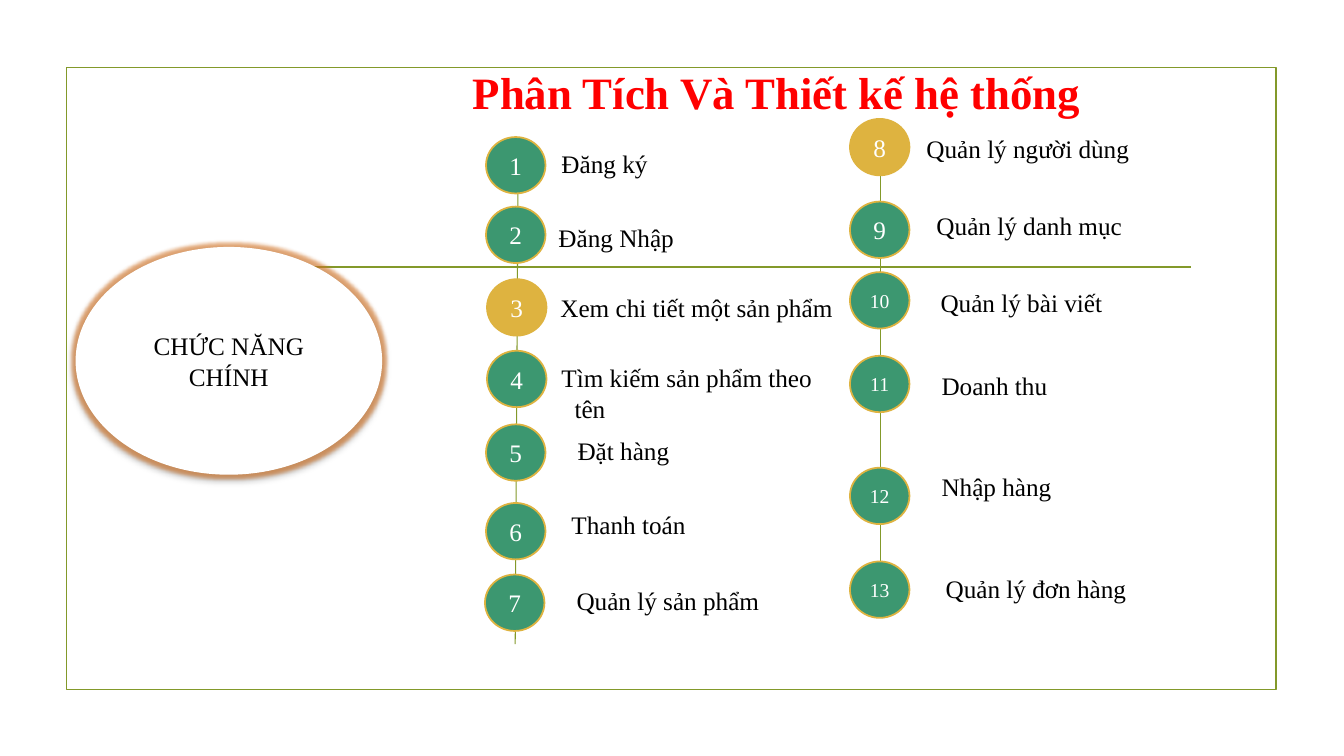
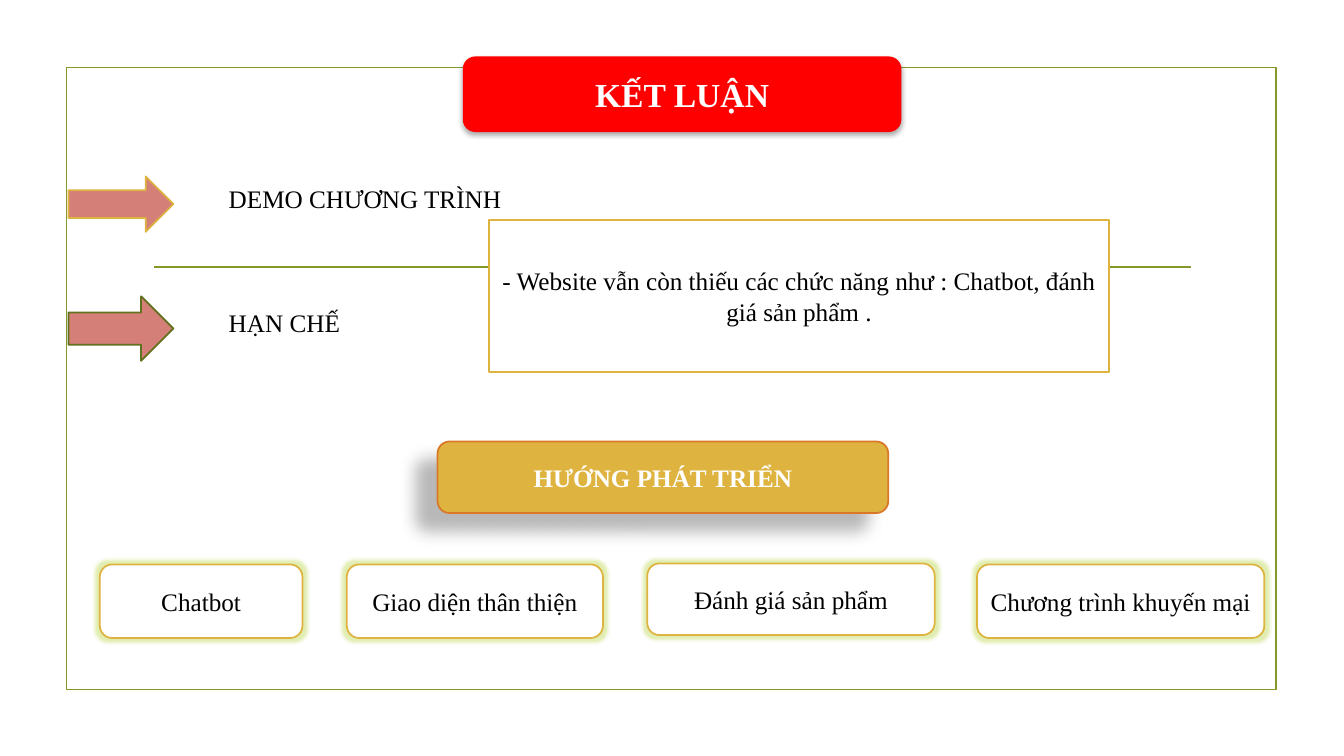
from lxml import etree
from pptx import Presentation
from pptx.dml.color import RGBColor
from pptx.enum.shapes import MSO_CONNECTOR, MSO_SHAPE
from pptx.enum.text import MSO_ANCHOR, MSO_AUTO_SIZE, PP_ALIGN
from pptx.oxml.ns import qn
from pptx.util import Inches, Pt

RECTANGLE = MSO_SHAPE.RECTANGLE
ROUNDED = MSO_SHAPE.ROUNDED_RECTANGLE
OVAL = MSO_SHAPE.OVAL
ARROW = MSO_SHAPE.RIGHT_ARROW
STRAIGHT = MSO_CONNECTOR.STRAIGHT
MIDDLE = MSO_ANCHOR.MIDDLE
CENTER = PP_ALIGN.CENTER
GROW = MSO_AUTO_SIZE.SHAPE_TO_FIT_TEXT

FONT = "Times New Roman"
WHITE = RGBColor(0xFF, 0xFF, 0xFF)
BLACK = RGBColor(0x00, 0x00, 0x00)
RED = RGBColor(0xFF, 0x00, 0x00)
OLIVE = RGBColor(0x83, 0x99, 0x2A)
DARK_OLIVE = RGBColor(0x61, 0x71, 0x1F)
LIME = RGBColor(0xB5, 0xD4, 0x3A)
GREEN = RGBColor(0x3C, 0x97, 0x70)
GOLD = RGBColor(0xDE, 0xB3, 0x40)
ORANGE = RGBColor(0xD9, 0x78, 0x28)
ROSE = RGBColor(0xD4, 0x7F, 0x77)

SOFT_SHADOW = (32, 3.5, 2.2, 90)
DEEP_SHADOW = (28, 11.8, 19.7, 141)

BADGE_WIDTH, BADGE_HEIGHT = 0.59, 0.56
HIGHLIGHTED = (3, 8)
COLUMN_LINES = [(5.14, 1.46, 5.11, 6.39), (8.73, 1.25, 8.73, 5.76)]
FEATURES = [
    (4.82, 1.36, ["Đăng ký"], 5.47, 1.42, 1.12),
    (4.82, 2.05, ["Đăng Nhập"], 5.44, 2.16, 1.39),
    (4.83, 2.77, ["Xem chi tiết một sản phẩm"], 5.46, 2.85, 2.93),
    (4.83, 3.48, ["Tìm kiếm sản phẩm theo", "tên"], 5.47, 3.55, 2.71),
    (4.82, 4.21, ["Đặt hàng"], 5.63, 4.27, 1.18),
    (4.82, 4.99, ["Thanh toán"], 5.57, 5, 1.34),
    (4.81, 5.7, ["Quản lý sản phẩm"], 5.62, 5.76, 2.03),
    (8.43, 1.18, ["Quản lý người dùng"], 9.09, 1.27, 2.23),
    (8.43, 2, ["Quản lý danh mục"], 9.19, 2.04, 2.06),
    (8.43, 2.7, ["Quản lý bài viết"], 9.23, 2.8, 1.82),
    (8.43, 3.53, ["Doanh thu"], 9.24, 3.62, 1.26),
    (8.43, 4.64, ["Nhập hàng"], 9.24, 4.63, 1.3),
    (8.43, 5.57, ["Quản lý đơn hàng"], 9.28, 5.64, 2.01),
]

SECTIONS = [
    ("DEMO CHƯƠNG TRÌNH", (2.17, 1.77, 4.35, 0.4), (0.68, 1.75, 1.04, 0.55), GOLD),
    ("HẠN CHẾ", (2.17, 3, 2.68, 0.4), (0.68, 2.94, 1.04, 0.64), DARK_OLIVE),
]
LIMITATION = "- Website vẫn còn thiếu các chức năng như : Chatbot, đánh giá sản phẩm ."
DIRECTIONS = [
    ("Chatbot", (0.99, 5.6, 2.01, 0.73)),
    ("Giao diện thân thiện", (3.44, 5.6, 2.54, 0.73)),
    ("Đánh giá sản phẩm", (6.42, 5.59, 2.85, 0.71)),
    ("Chương trình khuyến mại", (9.69, 5.6, 2.85, 0.73)),
]


def inches(values):
    return [Inches(value) for value in values]


def style_font(paragraph, size, color, bold):
    font = paragraph.font
    font.name, font.size, font.bold = FONT, Pt(size), bold
    font.color.rgb = color


def add_effect(shape, name, color, opacity, **attributes):
    effects = shape._element.spPr.find(qn("a:effectLst"))
    values = {key: str(int(value)) for key, value in attributes.items()}
    effect = etree.SubElement(effects, qn("a:" + name), values)
    tint = etree.SubElement(effect, qn("a:srgbClr"), val=str(color))
    etree.SubElement(tint, qn("a:alpha"), val=str(opacity * 1000))


def add_glow(shape, color, opacity=40):
    add_effect(shape, "glow", color, opacity, rad=Pt(5))


def add_shadow(shape, opacity, blur, distance, angle):
    add_effect(shape, "outerShdw", BLACK, opacity, blurRad=Pt(blur),
               dist=Pt(distance), dir=angle * 60000, rotWithShape=0)


def add_box(slide, kind, box, fill=None, line=None, text="", size=18,
            color=BLACK, bold=False):
    shape = slide.shapes.add_shape(kind, *inches(box))
    shape.shadow.inherit = False
    if fill is None:
        shape.fill.background()
    else:
        shape.fill.solid()
        shape.fill.fore_color.rgb = fill
    if line is None:
        shape.line.fill.background()
    else:
        shape.line.color.rgb = line
        shape.line.width = Pt(1.25)
    if text:
        frame = shape.text_frame
        frame.word_wrap = True
        frame.vertical_anchor = MIDDLE
        paragraph = frame.paragraphs[0]
        paragraph.text = text
        paragraph.alignment = CENTER
        style_font(paragraph, size, color, bold)
    return shape


def add_label(slide, box, lines, size=18, color=BLACK, bold=False, wrap=True):
    frame = slide.shapes.add_textbox(*inches(box)).text_frame
    frame.word_wrap = wrap
    frame.auto_size = GROW
    for index, line in enumerate(lines):
        paragraph = frame.add_paragraph() if index else frame.paragraphs[0]
        paragraph.text = line
        style_font(paragraph, size, color, bold)
        if index:
            paragraph._p.get_or_add_pPr().set("marL", str(Inches(0.13)))


def add_line(slide, ends, width):
    connector = slide.shapes.add_connector(STRAIGHT, *inches(ends))
    connector.line.color.rgb = OLIVE
    connector.line.width = Pt(width)
    etree.SubElement(connector._element.spPr, qn("a:effectLst"))


def add_framed_slide(presentation):
    slide = presentation.slides.add_slide(presentation.slide_layouts[6])
    add_box(slide, RECTANGLE, (0.66, 0.67, 12, 6.17), line=OLIVE)
    add_line(slide, (1.53, 2.65, 11.81, 2.65), 1.25)
    return slide


def build_features(presentation):
    slide = add_framed_slide(presentation)
    add_label(slide, (4.59, 0.59, 6.85, 0.64),
              ["Phân Tích Và Thiết kế hệ thống"], 32, RED, True)
    for ends in COLUMN_LINES:
        add_line(slide, ends, 0.75)
    for number, feature in enumerate(FEATURES, 1):
        badge_left, badge_top, lines, left, top, width = feature
        add_box(slide, OVAL, (badge_left, badge_top, BADGE_WIDTH, BADGE_HEIGHT),
                GOLD if number in HIGHLIGHTED else GREEN, GOLD,
                str(number), 18 if number < 10 else 14, WHITE)
        height = 0.1 + 0.3 * len(lines)
        add_label(slide, (left, top, width, height), lines, wrap=False)
    hub = add_box(slide, OVAL, (0.75, 2.45, 3.04, 2.26), WHITE,
                  text="CHỨC NĂNG CHÍNH")
    add_glow(hub, ORANGE, 60)
    add_shadow(hub, *SOFT_SHADOW)


def build_conclusion(presentation):
    slide = add_framed_slide(presentation)
    title = add_box(slide, ROUNDED, (4.59, 0.56, 4.35, 0.75), RED,
                    text="KẾT LUẬN", size=24, color=WHITE, bold=True)
    add_shadow(title, *SOFT_SHADOW)
    for text, label_box, arrow_box, outline in SECTIONS:
        add_box(slide, ARROW, arrow_box, ROSE, outline)
        add_label(slide, label_box, [text])
    add_box(slide, RECTANGLE, (4.85, 2.18, 6.15, 1.51), WHITE, GOLD, LIMITATION)
    heading = add_box(slide, ROUNDED, (4.34, 4.38, 4.47, 0.71), GOLD, ORANGE,
                      "HƯỚNG PHÁT TRIỂN", color=WHITE, bold=True)
    add_shadow(heading, *DEEP_SHADOW)
    for text, box in DIRECTIONS:
        add_glow(add_box(slide, ROUNDED, box, WHITE, GOLD, text), LIME)


def main():
    presentation = Presentation()
    presentation.slide_width = Inches(13.33)
    presentation.slide_height = Inches(7.5)
    build_features(presentation)
    build_conclusion(presentation)
    presentation.save("out.pptx")


if __name__ == "__main__":
    main()
